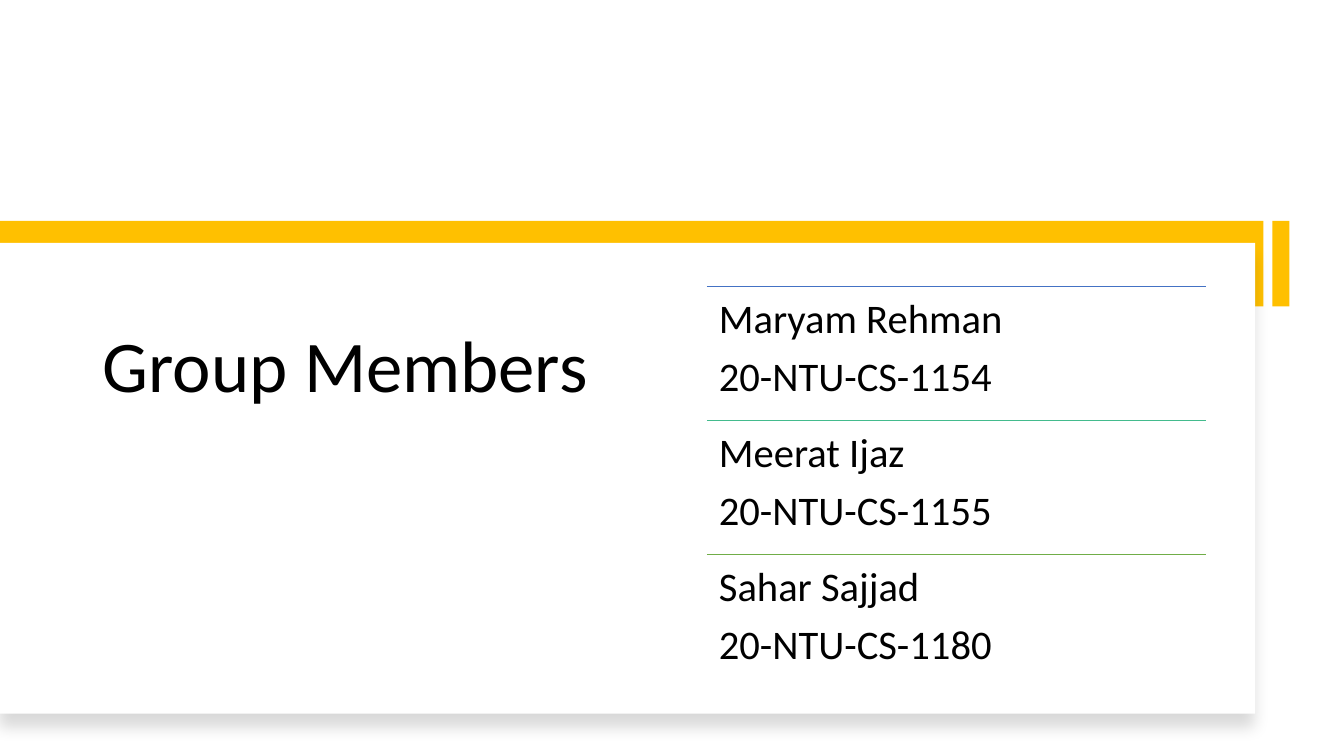
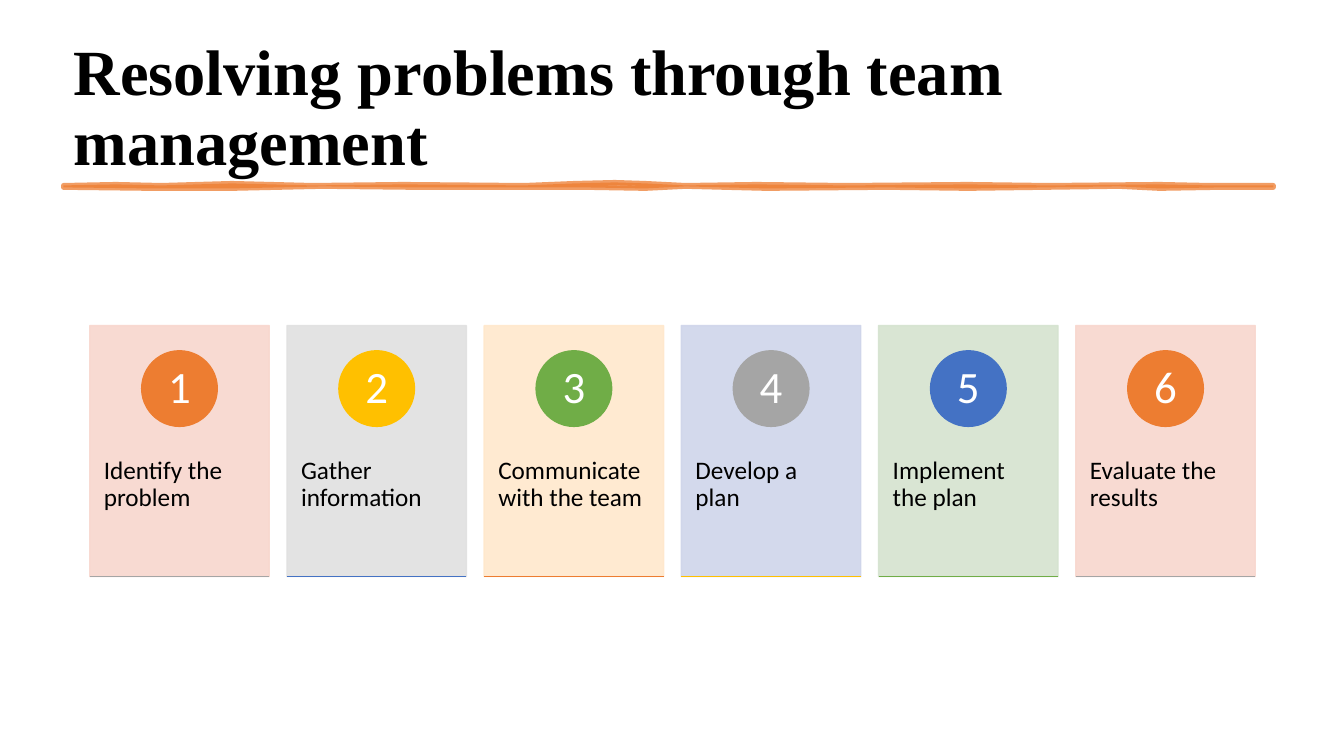
from lxml import etree
from pptx import Presentation
from pptx import util as u
from pptx.dml.color import RGBColor
from pptx.enum import shapes, text
from pptx.oxml.ns import qn

# Content
MEMBERS_TITLE = "Group Members"
MEMBERS = [  # name, registration number, rule colour
    ("Maryam Rehman", "20-NTU-CS-1154", "4472C4"),
    ("Meerat Ijaz", "20-NTU-CS-1155", "43BB8D"),
    ("Sahar Sajjad", "20-NTU-CS-1180", "70AD47"),
]
STEPS_TITLE = "Resolving problems through team management"
STEPS = [
    "Identify the problem",
    "Gather information",
    "Communicate with the team",
    "Develop a plan",
    "Implement the plan",
    "Evaluate the results",
]

# Shared style
BLACK, WHITE, GOLD, ORANGE = "000000", "FFFFFF", "FFC000", "ED7D31"
BODY_FONT, HEADING_FONT = "Calibri", "Times New Roman"
STEP_COLOURS = [  # card, number circle, base rule
    ("F8D7CE", ORANGE, "A5A5A5"),
    ("E1E1E1", GOLD, "4472C4"),
    ("FFE8CC", "70AD47", ORANGE),
    ("CFD5EA", "A5A5A5", GOLD),
    ("D5E3CF", "4472C4", "70AD47"),
]

# Brush stroke under the heading: upper edge, then lower edge back
STROKE_TOP = [(0.63, 1.84), (1.15, 1.83), (1.6, 1.84), (2.3, 1.82), (3.1, 1.84),
              (4, 1.83), (5.2, 1.84), (5.7, 1.82), (6.1, 1.81), (6.4, 1.82),
              (6.8, 1.84), (7.5, 1.83), (8.4, 1.84), (9.6, 1.83), (10.4, 1.84),
              (11.5, 1.83), (12, 1.84), (12.63, 1.84)]
STROKE_BOTTOM = [(12.63, 1.86), (12.1, 1.86), (11.5, 1.87), (11.1, 1.85), (9.6, 1.87),
                 (8.8, 1.86), (7.6, 1.87), (6.8, 1.85), (6.4, 1.87), (5.8, 1.86),
                 (4.1, 1.86), (3.2, 1.85), (2.3, 1.87), (1.5, 1.87), (0.63, 1.86)]


def colour(hex_code):
    return RGBColor.from_string(hex_code)


def box(left, top, width, height):
    return [u.Inches(value) for value in (left, top, width, height)]


def paint(shape, fill, line_width=0, alpha=100):
    """Fill a shape, outline it in the same colour, and drop its shadow."""
    shape.shadow.inherit = False
    shape.fill.solid()
    shape.fill.fore_color.rgb = colour(fill)
    if line_width:
        shape.line.color.rgb = colour(fill)
        shape.line.width = u.Pt(line_width)
    else:
        shape.line.fill.background()
    if alpha < 100:
        for node in shape._element.spPr.iter(qn("a:srgbClr")):
            etree.SubElement(node, qn("a:alpha"), val=str(alpha * 1000))
    return shape


def add_block(slide, place, fill, kind=shapes.MSO_SHAPE.RECTANGLE, **style):
    return paint(slide.shapes.add_shape(kind, *box(*place)), fill, **style)


def add_rule(slide, left, top, width, line_colour):
    start, level, end = u.Inches(left), u.Inches(top), u.Inches(left + width)
    rule = slide.shapes.add_connector(
        shapes.MSO_CONNECTOR.STRAIGHT, start, level, end, level)
    rule.line.color.rgb = colour(line_colour)
    rule.line.width = u.Pt(1)
    etree.SubElement(rule._element.spPr, qn("a:effectLst"))


def write(shape, lines, size, font=BODY_FONT, ink=BLACK, bold=False, after=0,
          align=text.PP_ALIGN.LEFT, anchor=text.MSO_ANCHOR.TOP,
          insets=(0.1, 0.05, 0.1, 0.05)):
    frame = shape.text_frame
    frame.word_wrap = True
    frame.auto_size = text.MSO_AUTO_SIZE.NONE
    frame.vertical_anchor = anchor
    (frame.margin_left, frame.margin_top,
     frame.margin_right, frame.margin_bottom) = box(*insets)
    for index, line in enumerate(lines):
        paragraph = frame.add_paragraph() if index else frame.paragraphs[0]
        paragraph.alignment = align
        paragraph.line_spacing = 0.9
        paragraph.space_before, paragraph.space_after = u.Pt(0), u.Pt(after)
        run = paragraph.add_run()
        run.text = line
        run.font.name, run.font.size, run.font.bold = font, u.Pt(size), bold
        run.font.color.rgb = colour(ink)


def add_title(slide, words, place, size, **style):
    """Format the title placeholder and bring it in front of the shapes."""
    title = slide.shapes.title
    title.left, title.top, title.width, title.height = box(*place)
    write(title, [words], size, **style)
    slide.shapes._spTree.append(title._element)


def build_members(slide):
    # Gold band, side tick and raised white panel
    add_block(slide, (0, 2.19, 12.53, 0.85), GOLD)
    panel = add_block(slide, (0, 2.41, 12.45, 4.67), WHITE)
    effects = panel._element.spPr.find(qn("a:effectLst"))
    shadow = etree.SubElement(
        effects, qn("a:outerShdw"), blurRad=str(u.Pt(11)), dist=str(u.Pt(10)),
        dir="5400000", algn="t", rotWithShape="0")
    shade = etree.SubElement(shadow, qn("a:srgbClr"), val=BLACK)
    etree.SubElement(shade, qn("a:alpha"), val="15000")
    add_block(slide, (12.62, 2.19, 0.17, 0.85), GOLD)

    add_title(slide, MEMBERS_TITLE, (0.92, 0.61, 5.32, 6.09), 52,
              after=6, anchor=text.MSO_ANCHOR.MIDDLE)

    # Ruled list of members
    left, width, row_height = 7.01, 4.95, 1.33
    for row, (name, number, rule_colour) in enumerate(MEMBERS):
        top = 2.84 + row * row_height
        add_rule(slide, left, top, width, rule_colour)
        member = slide.shapes.add_textbox(*box(left, top, width, row_height))
        write(member, [name, number], 29, after=10, insets=[0.12] * 4)


def build_steps(slide):
    add_title(slide, STEPS_TITLE, (0.63, 0.26, 12.05, 1.57), 46,
              font=HEADING_FONT, bold=True, anchor=text.MSO_ANCHOR.BOTTOM)

    # Hand-drawn stroke
    start, *rest = [(u.Inches(x), u.Inches(y)) for x, y in STROKE_TOP + STROKE_BOTTOM]
    outline = slide.shapes.build_freeform(*start)
    outline.add_line_segments(rest, close=True)
    paint(outline.convert_to_shape(), ORANGE, line_width=3.5, alpha=75)

    # Numbered cards, spread evenly between the margins
    first, last, top, width, height, circle = 0.89, 10.67, 3.23, 1.78, 2.49, 0.75
    pitch = (last - first) / (len(STEPS) - 1)
    for index, step in enumerate(STEPS):
        left = first + index * pitch
        card_fill, circle_fill, base = STEP_COLOURS[index % len(STEP_COLOURS)]
        card = add_block(slide, (left, top, width, height), card_fill,
                         line_width=1, alpha=90)
        write(card, [step], 18, insets=(0.14, 1.31, 0.14, 0.36))
        number = add_block(
            slide, (left + (width - circle) / 2, top + 0.25, circle, circle),
            circle_fill, kind=shapes.MSO_SHAPE.OVAL, line_width=1)
        write(number, [str(index + 1)], 32, ink=WHITE,
              align=text.PP_ALIGN.CENTER, anchor=text.MSO_ANCHOR.MIDDLE,
              insets=(0.06, 0.01, 0.06, 0.01))
        add_rule(slide, left, top + height, width, base)


def main():
    deck = Presentation()
    deck.slide_width, deck.slide_height = u.Inches(13.33), u.Inches(7.5)
    title_only = deck.slide_layouts[5]
    for build in (build_members, build_steps):
        build(deck.slides.add_slide(title_only))
    deck.save("out.pptx")


if __name__ == "__main__":
    main()
